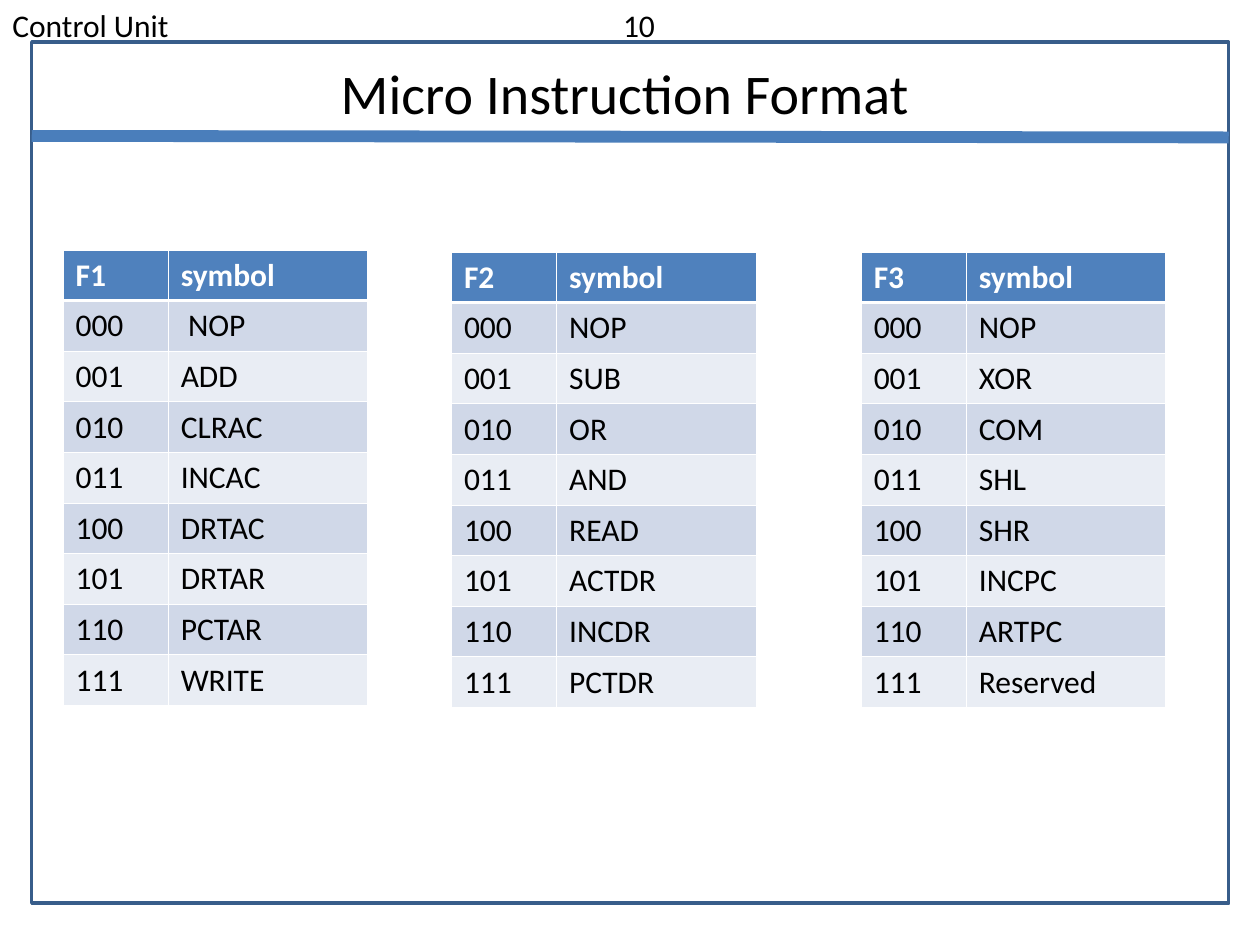
from dataclasses import dataclass

from lxml.etree import SubElement
from pptx import Presentation
from pptx.dml.color import RGBColor
from pptx.enum.shapes import MSO_CONNECTOR, MSO_SHAPE
from pptx.enum.text import MSO_AUTO_SIZE, PP_ALIGN
from pptx.oxml.ns import qn
from pptx.util import Cm, Pt


@dataclass(frozen=True)
class Theme:
    font: str = "Calibri"
    body_size: float = 18
    title_size: float = 32
    text: str = "000000"
    white: str = "FFFFFF"
    frame: str = "385D8A"
    rule: str = "4A7EBB"
    header: str = "4F81BD"
    bands: tuple = ("D0D8E8", "E9EDF4")
    grid_width: float = 0.45
    header_rule_width: float = 1.47


class SlideBuilder:
    def __init__(self, slide, theme):
        self.s = slide
        self.theme = theme

    def run(self, p, text, size, color, bold=False):
        r = p.add_run()
        r.text = text
        r.font.name = self.theme.font
        r.font.size = Pt(size)
        r.font.bold = bold
        r.font.color.rgb = RGBColor.from_string(color)

    def frame(self, x, y, w, h):
        sp = self.s.shapes.add_shape(MSO_SHAPE.RECTANGLE, Cm(x), Cm(y), Cm(w), Cm(h))
        sp.shadow.inherit = False
        sp.fill.background()
        sp.line.color.rgb = RGBColor.from_string(self.theme.frame)
        sp.line.width = Pt(2)

    def rule(self, x1, y1, x2, y2):
        line = self.s.shapes.add_connector(
            MSO_CONNECTOR.STRAIGHT, Cm(x1), Cm(y1), Cm(x2), Cm(y2))
        line.line.color.rgb = RGBColor.from_string(self.theme.rule)
        line.line.width = Pt(6.75)
        SubElement(line._element.spPr, qn("a:effectLst"))

    def text(self, x, y, w, h, runs, size, align=PP_ALIGN.LEFT, tab=None):
        tf = self.s.shapes.add_textbox(Cm(x), Cm(y), Cm(w), Cm(h)).text_frame
        tf.word_wrap = True
        tf.auto_size = MSO_AUTO_SIZE.SHAPE_TO_FIT_TEXT
        p = tf.paragraphs[0]
        p.alignment = align
        if tab:
            tabs = SubElement(p._p.get_or_add_pPr(), qn("a:tabLst"))
            SubElement(tabs, qn("a:tab"), pos=str(Cm(tab)), algn="l")
        for text in runs:
            self.run(p, text, size, self.theme.text)

    def borders(self, cell, row):
        thin, thick = self.theme.grid_width, self.theme.header_rule_width
        widths = {"L": thin, "R": thin,
                  "T": thick if row == 1 else thin,
                  "B": thick if row == 0 else thin}
        tcPr = cell._tc.get_or_add_tcPr()
        for side, width in widths.items():
            ln = SubElement(tcPr, qn(f"a:ln{side}"), w=str(Pt(width)))
            fill = SubElement(ln, qn("a:solidFill"))
            SubElement(fill, qn("a:srgbClr"), val=self.theme.white)

    def table(self, x, y, col_widths, row_height, rows):
        t = self.theme
        table = self.s.shapes.add_table(
            len(rows), len(col_widths), Cm(x), Cm(y),
            Cm(sum(col_widths)), Cm(row_height * len(rows))).table
        table.horz_banding = False
        for column, width in zip(table.columns, col_widths):
            column.width = Cm(width)
        for i, values in enumerate(rows):
            table.rows[i].height = Cm(row_height)
            is_header = i == 0
            fill = t.header if is_header else t.bands[(i - 1) % 2]
            color = t.white if is_header else t.text
            for j, value in enumerate(values):
                cell = table.cell(i, j)
                self.borders(cell, i)
                cell.fill.solid()
                cell.fill.fore_color.rgb = RGBColor.from_string(fill)
                self.run(cell.text_frame.paragraphs[0], value, t.body_size, color, is_header)
        return table


FIELDS = [
    ("F1", 1.27, 5.04, "NOP ADD CLRAC INCAC DRTAC DRTAR PCTAR WRITE"),
    ("F2", 9.1, 5.08, "NOP SUB OR AND READ ACTDR INCDR PCTDR"),
    ("F3", 17.36, 5.08, "NOP XOR COM SHL SHR INCPC ARTPC Reserved"),
]


def main():
    prs = Presentation()
    prs.slide_width, prs.slide_height = Cm(25.4), Cm(19.05)
    theme = Theme()
    b = SlideBuilder(prs.slides.add_slide(prs.slide_layouts[6]), theme)

    b.frame(0.64, 0.85, 24.13, 17.36)
    b.text(0, 0, 25.4, 1.03, ["Control Unit", "\t10"], theme.body_size, tab=12.31)
    b.rule(0.64, 2.74, 24.77, 2.77)
    b.text(1.9, 1.06, 21.4, 1.62, ["Micro Instruction Format"],
           theme.title_size, PP_ALIGN.CENTER)

    tables = []
    for name, x, y, symbols in FIELDS:
        rows = [(name, "symbol")]
        rows += [(f"{code:03b}", symbol) for code, symbol in enumerate(symbols.split())]
        tables.append(b.table(x, y, (2.12, 4.02), 1.02, rows))
    tables[0].cell(1, 1).margin_left = Cm(0.4)

    prs.save("out.pptx")


if __name__ == "__main__":
    main()
